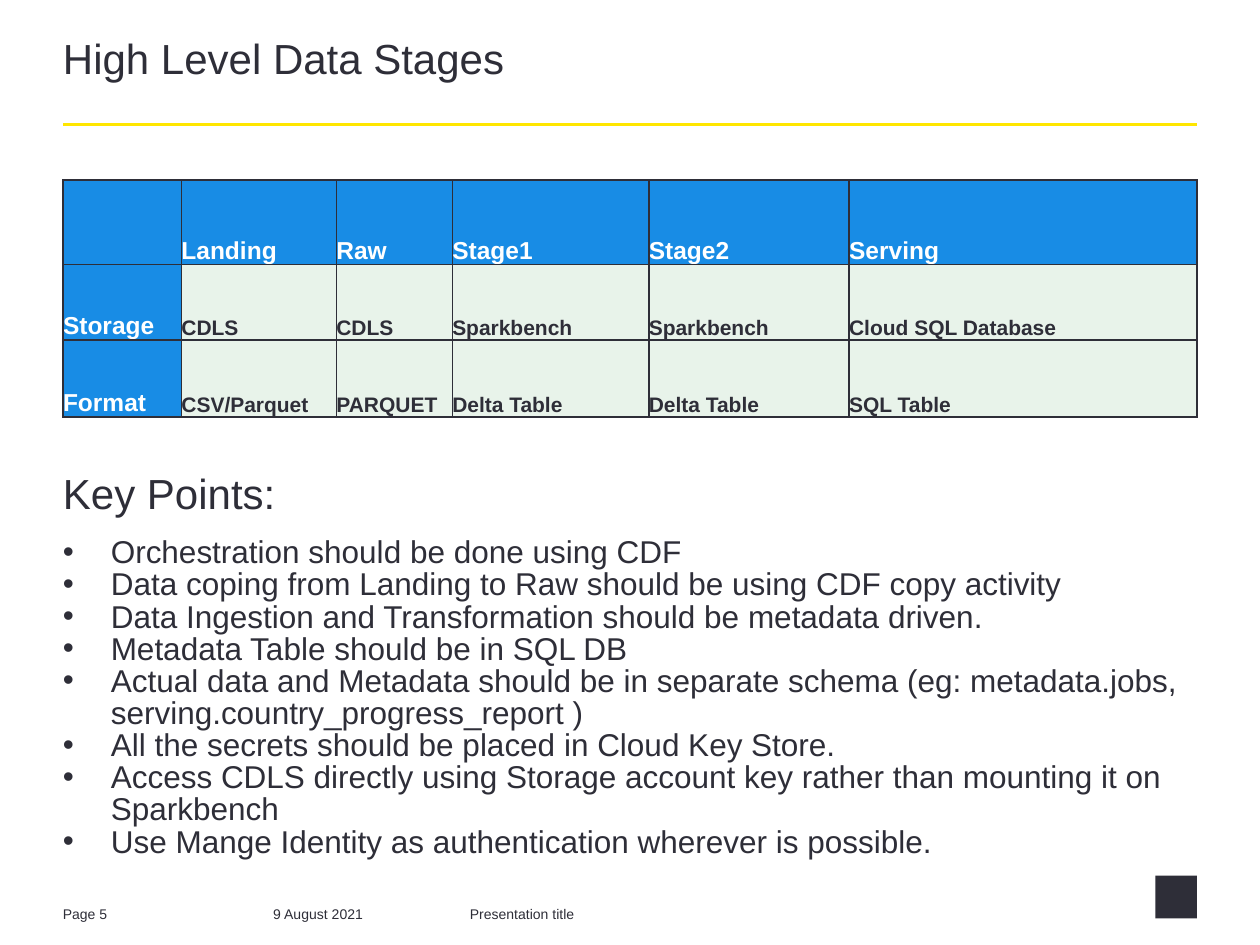
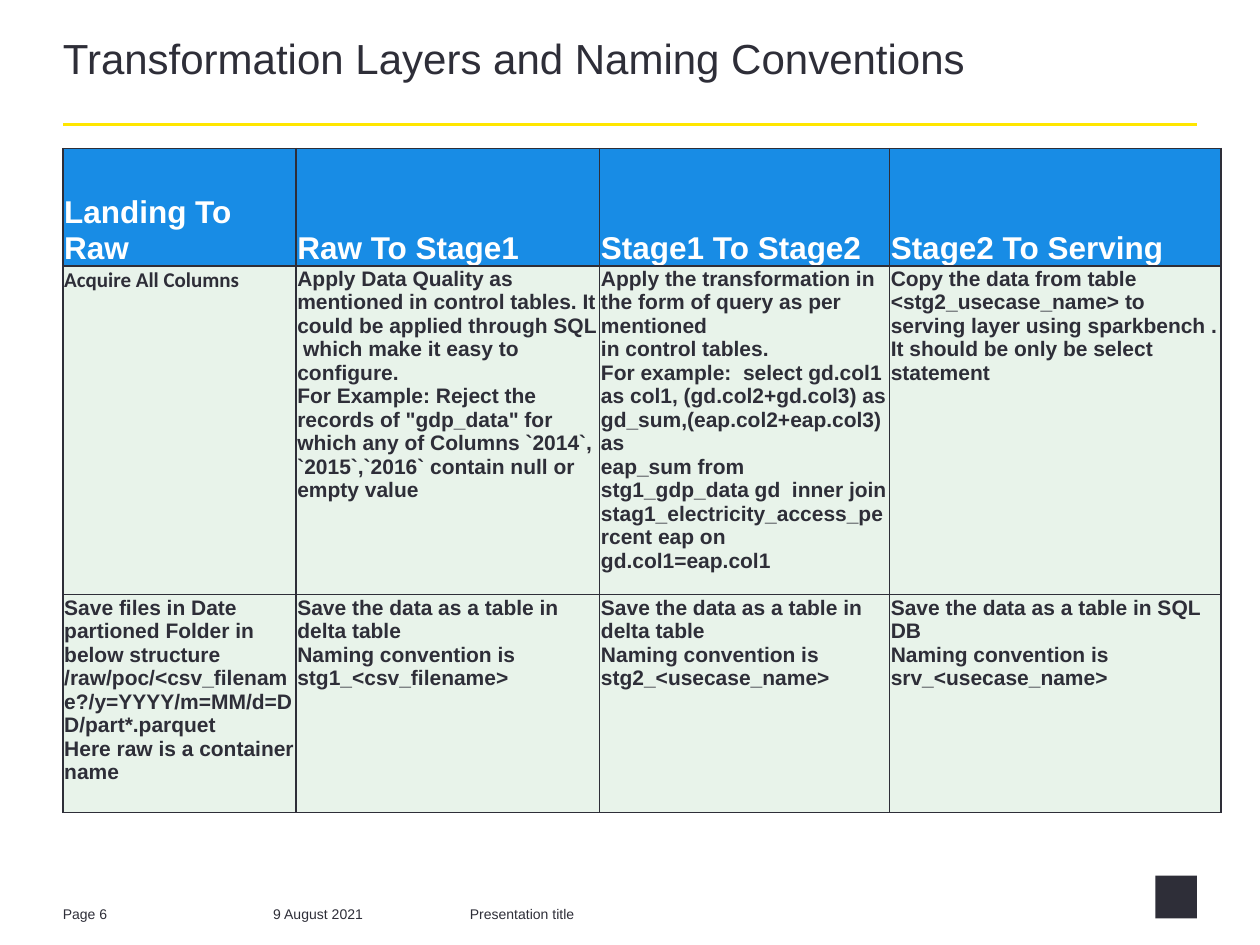
"""Build two slides on data stages and naming conventions."""
from lxml import etree
from pptx import Presentation
from pptx import util as u
from pptx.dml.color import RGBColor
from pptx.enum import shapes, text
from pptx.oxml.ns import qn

INK, YELLOW, BLUE, MINT, WHITE = "2E2E38", "FFE600", "188CE5", "E8F3EA", "FFFFFF"
LEFT, WIDTH = 0.5, 9
TOP, MIDDLE, BOTTOM = (text.MSO_ANCHOR.TOP, text.MSO_ANCHOR.MIDDLE,
                       text.MSO_ANCHOR.BOTTOM)

STAGES = [
    ["", "Landing", "Raw", "Stage1", "Stage2", "Serving"],
    ["Storage", "CDLS", "CDLS", "Sparkbench", "Sparkbench", "Cloud SQL Database"],
    ["Format", "CSV/Parquet", "PARQUET", "Delta Table", "Delta Table", "SQL Table"],
]
KEY_POINTS = [
    "Orchestration should be done using CDF",
    "Data coping from Landing to Raw should be using CDF copy activity",
    "Data Ingestion and Transformation should be metadata driven.",
    "Metadata Table should be in SQL DB",
    "Actual data and Metadata should be in separate schema "
    "(eg: metadata.jobs, serving.country_progress_report )",
    "All the secrets should be placed in Cloud Key Store.",
    "Access CDLS directly using Storage account key rather than mounting it on "
    "Sparkbench",
    "Use Mange Identity as authentication wherever is possible.",
]
LAYERS = [
    ["Landing To Raw", "Raw To Stage1", "Stage1 To Stage2", "Stage2 To Serving"],
    [
        "Acquire All Columns",
        "Apply Data Quality as mentioned in control tables. It could be applied "
        "through SQL  which make it easy to configure.\n"
        "For Example: Reject the records of \"gdp_data\" for which any of Columns "
        "`2014`, `2015`,`2016` contain null or empty value",
        ["Apply the transformation in the form of query as per mentioned\n"
         "in control tables.\n"
         "For example:  select gd.col1 as col1, (gd.col2+gd.col3) as "
         "gd_sum,(eap.col2+eap.col3) as",
         "eap_sum from stg1_gdp_data gd  inner join "
         "stag1_electricity_access_percent eap on gd.col1=eap.col1"],
        "Copy the data from table <stg2_usecase_name> to serving layer using "
        "sparkbench . It should be only be select statement",
    ],
    [
        "Save files in Date partioned Folder in below structure\n"
        "/raw/poc/<csv_filename?/y=YYYY/m=MM/d=DD/part*.parquet\n"
        "Here raw is a container name",
        "Save the data as a table in delta table\n"
        "Naming convention is stg1_<csv_filename>",
        "Save the data as a table in delta table\n"
        "Naming convention is stg2_<usecase_name>",
        "Save the data as a table in SQL DB\n"
        "Naming convention is srv_<usecase_name>",
    ],
]


def rgb(value):
    """Turn a hex string into a colour."""
    return RGBColor.from_string(value)


def add_bullet(para, indent=0.38):
    """Give a paragraph a round bullet with a hanging indent."""
    props = para._p.get_or_add_pPr()
    props.set("marL", str(u.Inches(indent)))
    props.set("indent", str(-u.Inches(indent)))
    etree.SubElement(props, qn("a:buFont")).set("typeface", "Arial")
    etree.SubElement(props, qn("a:buChar")).set("char", "•")


def write(frame, content, size, colour=INK, bold=False, font="Arial",
          spacing=None, bullets=False):
    """Write one string or a list of paragraphs, with line breaks at newlines."""
    paragraphs = [content] if isinstance(content, str) else content
    for index, words in enumerate(paragraphs):
        para = frame.add_paragraph() if index else frame.paragraphs[0]
        if bullets:
            add_bullet(para)
        if spacing:
            para.line_spacing = spacing
        para.font.size = u.Pt(size)
        for number, line in enumerate(words.split("\n")):
            if number:
                para.add_line_break()
            span = para.add_run()
            span.text = line
            span.font.name = font
            span.font.size = u.Pt(size)
            span.font.bold = bold
            span.font.color.rgb = rgb(colour)


def add_text(page, content, left, top, width, height, size, inset=0.0,
             anchor=TOP, **style):
    """Add a wrapped text box."""
    box = page.shapes.add_textbox(*map(u.Inches, (left, top, width, height)))
    frame = box.text_frame
    frame.word_wrap = True
    frame.vertical_anchor = anchor
    frame.margin_left = frame.margin_right = u.Inches(inset)
    frame.margin_top = frame.margin_bottom = u.Inches(inset / 2)
    write(frame, content, size, **style)


def add_heading(page, words, top):
    """Add a large heading across the page."""
    add_text(page, words, LEFT, top, WIDTH, 0.65, 24, spacing=0.85)


def add_rule(page, top):
    """Draw the yellow line below the title."""
    rule = page.shapes.add_connector(
        shapes.MSO_CONNECTOR.STRAIGHT, u.Inches(LEFT), u.Inches(top),
        u.Inches(LEFT + WIDTH), u.Inches(top))
    rule.line.color.rgb = rgb(YELLOW)
    rule.line.width = u.Pt(1.5)
    etree.SubElement(rule._element.spPr, qn("a:effectLst"))


def add_mark(page):
    """Put a plain block in the lower right corner."""
    mark = page.shapes.add_shape(
        shapes.MSO_SHAPE.RECTANGLE, *map(u.Inches, (9.17, 6.95, 0.33, 0.34)))
    mark.shadow.inherit = False
    mark.fill.solid()
    mark.fill.fore_color.rgb = rgb(INK)
    mark.line.fill.background()


def add_page(deck, title, number):
    """Add a slide with its title, rule, footer and corner mark."""
    page = deck.slides.add_slide(deck.slide_layouts[6])
    footers = [("9 August 2021", 2.07, 1.3), ("Presentation title", 3.63, 3.38),
               (f"Page {number}", 0.4, 0.73)]
    for words, left, width in footers:
        add_text(page, words, left, 7.15, width, 0.2, 8, inset=0.1, anchor=MIDDLE)
    add_mark(page)
    add_rule(page, 0.99)
    add_heading(page, title, 0.32)
    return page


def add_borders(cell):
    """Draw a thin dark line on each side of a cell."""
    props = cell._tc.get_or_add_tcPr()
    for side in ("lnL", "lnR", "lnT", "lnB"):
        line = etree.SubElement(props, qn(f"a:{side}"), w=str(u.Pt(1)))
        fill = etree.SubElement(line, qn("a:solidFill"))
        etree.SubElement(fill, qn("a:srgbClr"), val=INK)


def add_grid(page, rows, top, widths, heights, head_size, inset=0.0,
             body_anchor=TOP, head_column=False, fonts=None):
    """Add a table with blue heads and mint body; fonts maps words to a font."""
    frame = page.shapes.add_table(
        len(rows), len(widths), u.Inches(LEFT), u.Inches(top),
        u.Inches(sum(widths)), u.Inches(sum(heights)))
    grid = frame.table
    grid.horz_banding = False
    for column, width in zip(grid.columns, widths):
        column.width = u.Inches(width)
    for row, height in zip(grid.rows, heights):
        row.height = u.Inches(height)
    for i, row in enumerate(rows):
        for j, content in enumerate(row):
            cell = grid.cell(i, j)
            head = i == 0 or (head_column and j == 0)
            add_borders(cell)
            cell.fill.solid()
            cell.fill.fore_color.rgb = rgb(BLUE if head else MINT)
            cell.margin_left = cell.margin_right = u.Inches(inset)
            cell.margin_top, cell.margin_bottom = u.Inches(inset), 0
            cell.vertical_anchor = BOTTOM if head else body_anchor
            if content:
                font = (fonts or {}).get(str(content), "Arial")
                write(cell.text_frame, content, head_size if head else 12,
                      WHITE if head else INK, bold=True, font=font)


def main():
    """Build and save the deck."""
    deck = Presentation()
    deck.slide_width, deck.slide_height = u.Inches(10), u.Inches(7.5)

    stages = add_page(deck, "High Level Data Stages", 5)
    add_grid(stages, STAGES, 1.43, [0.94, 1.23, 0.92, 1.56, 1.59, 2.76],
             [0.67, 0.6, 0.61], 14, body_anchor=BOTTOM, head_column=True)
    add_text(stages, KEY_POINTS, LEFT, 4.27, WIDTH, 2.09, 18, spacing=0.85,
             bullets=True)
    add_heading(stages, "Key Points:", 3.77)

    layers = add_page(deck, "Transformation Layers and Naming Conventions", 6)
    add_grid(layers, LAYERS, 1.18, [1.85, 2.41, 2.3, 2.63], [0.93, 2.47, 1.73],
             18, inset=0.01, fonts={"Acquire All Columns": "Calibri"})

    deck.save("out.pptx")


if __name__ == "__main__":
    main()
